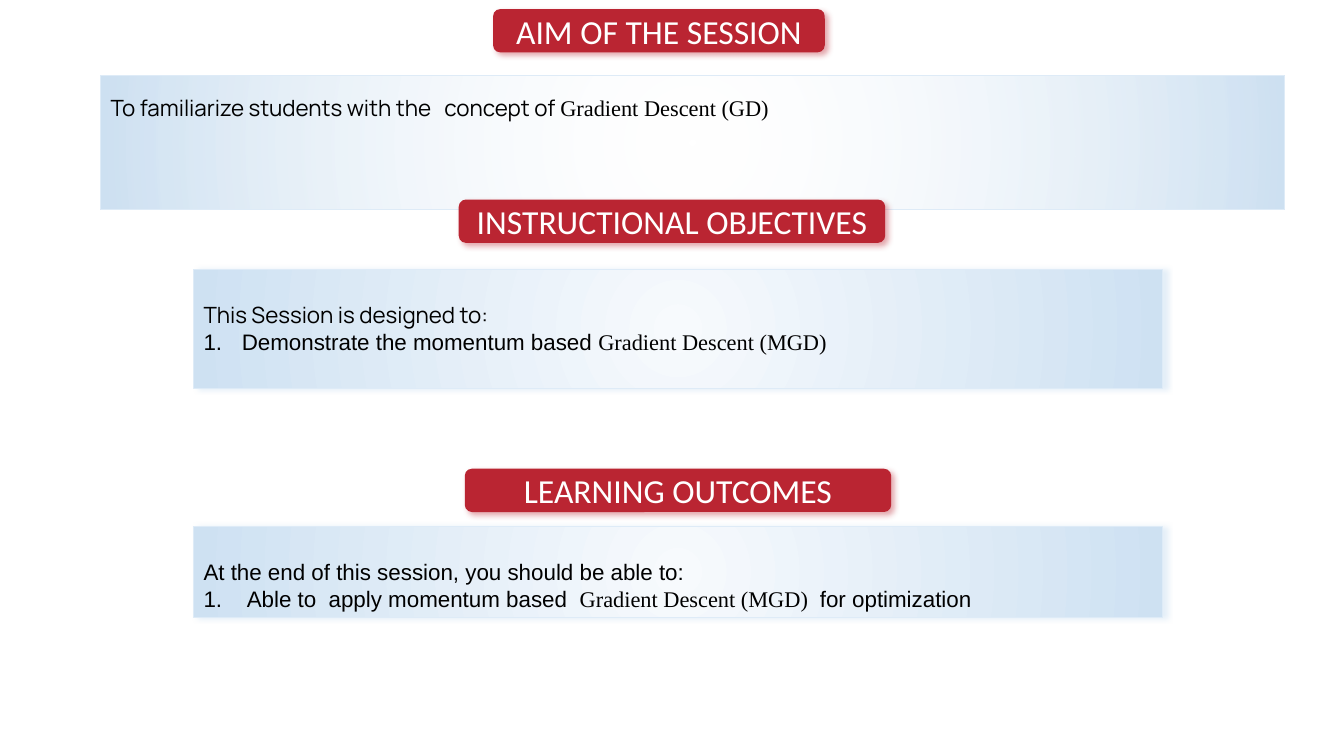
from pptx import Presentation
from pptx.dml.color import RGBColor
from pptx.enum.shapes import MSO_SHAPE
from pptx.enum.text import MSO_ANCHOR, PP_ALIGN
from pptx.oxml import parse_xml
from pptx.oxml.ns import nsdecls
from pptx.util import Inches, Pt

RECT = MSO_SHAPE.RECTANGLE
ROUNDED = MSO_SHAPE.ROUNDED_RECTANGLE
TOP, MIDDLE = MSO_ANCHOR.TOP, MSO_ANCHOR.MIDDLE
LEFT, CENTER = PP_ALIGN.LEFT, PP_ALIGN.CENTER
SANS, BODY, SERIF, HEADING = "Arial", "Manrope", "Times New Roman", "Calibri"


def rgb(value):
    return RGBColor.from_string(value)


class SessionSlide:
    red = "BA2532"
    border = "DEEBF7"
    glow = "BDD7EE"
    inner, outer = "F7FAFD", "CEE1F2"
    heading_size, body_size = 24, 16

    def __init__(self, prs):
        self.slide = prs.slides.add_slide(prs.slide_layouts[6])

    def shape(self, kind, box, anchor):
        sp = self.slide.shapes.add_shape(kind, *(Inches(n) for n in box))
        sp.shadow.inherit = False
        tf = sp.text_frame
        tf.word_wrap = True
        tf.vertical_anchor = anchor
        return sp

    def shadow(self, sp, color, angle):
        effects = sp._element.spPr[-1]
        effects.append(parse_xml(
            f'<a:outerShdw {nsdecls("a")} blurRad="{Pt(4)}" dist="{Pt(3)}" '
            f'dir="{angle * 60000}" algn="tl" rotWithShape="0">'
            f'<a:srgbClr val="{color}"><a:alpha val="40000"/></a:srgbClr>'
            '</a:outerShdw>'))

    def gradient(self, sp, inner_alpha):
        sp._element.spPr[1].addnext(parse_xml(
            f'<a:gradFill {nsdecls("a")} rotWithShape="1"><a:gsLst>'
            f'<a:gs pos="0"><a:srgbClr val="{self.inner}">'
            f'<a:alpha val="{inner_alpha * 1000}"/></a:srgbClr></a:gs>'
            f'<a:gs pos="100000"><a:srgbClr val="{self.outer}"/></a:gs>'
            '</a:gsLst><a:path path="circle"><a:fillToRect l="50000" '
            't="50000" r="50000" b="50000"/></a:path></a:gradFill>'))

    def run(self, p, text, font, size, color):
        r = p.add_run()
        r.text = text
        r.font.name = font
        r.font.size = Pt(size)
        r.font.color.rgb = rgb(color)

    def number(self, p):
        pPr = p._p.get_or_add_pPr()
        pPr.set("marL", str(Inches(0.38)))
        pPr.set("indent", str(-Inches(0.38)))
        pPr.append(parse_xml(
            f'<a:buFont {nsdecls("a")} typeface="{SANS}"/>'))
        pPr.append(parse_xml(
            f'<a:buAutoNum {nsdecls("a")} type="arabicPeriod"/>'))

    def badge(self, box, text):
        sp = self.shape(ROUNDED, box, MIDDLE)
        sp.fill.solid()
        sp.fill.fore_color.rgb = rgb(self.red)
        sp.line.fill.background()
        self.shadow(sp, self.red, 45)
        p = sp.text_frame.paragraphs[0]
        p.alignment = CENTER
        self.run(p, text, HEADING, self.heading_size, "FFFFFF")

    def panel(self, box, intro, item=(), spacing=2.0, clear_center=False):
        sp = self.shape(RECT, box, TOP)
        self.gradient(sp, 0 if clear_center else 100)
        sp.line.color.rgb = rgb(self.border)
        sp.line.width = Pt(0.75)
        if not clear_center:
            self.shadow(sp, self.glow, 0)
        tf = sp.text_frame
        p = tf.paragraphs[0]
        p.alignment = LEFT
        p.line_spacing = spacing
        for text, font in intro:
            self.run(p, text, font, self.body_size, "000000")
        if item:
            p = tf.add_paragraph()
            p.alignment = LEFT
            self.number(p)
            for text, font in item:
                self.run(p, text, font, self.body_size, "000000")


def main():
    prs = Presentation()
    prs.slide_width, prs.slide_height = Inches(13.33), Inches(7.5)
    s = SessionSlide(prs)

    s.badge((4.89, 0.09, 3.29, 0.43), "AIM OF THE SESSION")
    s.panel((1, 0.75, 11.74, 1.33),
            [("To familiarize students with the   concept of ", BODY),
             ("Gradient Descent (GD)", SERIF)],
            spacing=1.5, clear_center=True)

    s.badge((4.55, 1.98, 4.23, 0.43), "INSTRUCTIONAL OBJECTIVES")
    s.panel((1.92, 2.67, 9.61, 1.18),
            [("This Session is designed to:", BODY)],
            [("Demonstrate the momentum based ", SANS),
             ("Gradient Descent (MGD)", SERIF)])

    s.badge((4.61, 4.65, 4.23, 0.43), "LEARNING OUTCOMES")
    s.panel((1.92, 5.22, 9.61, 0.91),
            [("At the end of this session, you should be able to:", SANS)],
            [(" Able to  apply momentum based  ", SANS),
             ("Gradient Descent (MGD) ", SERIF),
             (" for optimization", SANS)])

    prs.save("out.pptx")


if __name__ == "__main__":
    main()
